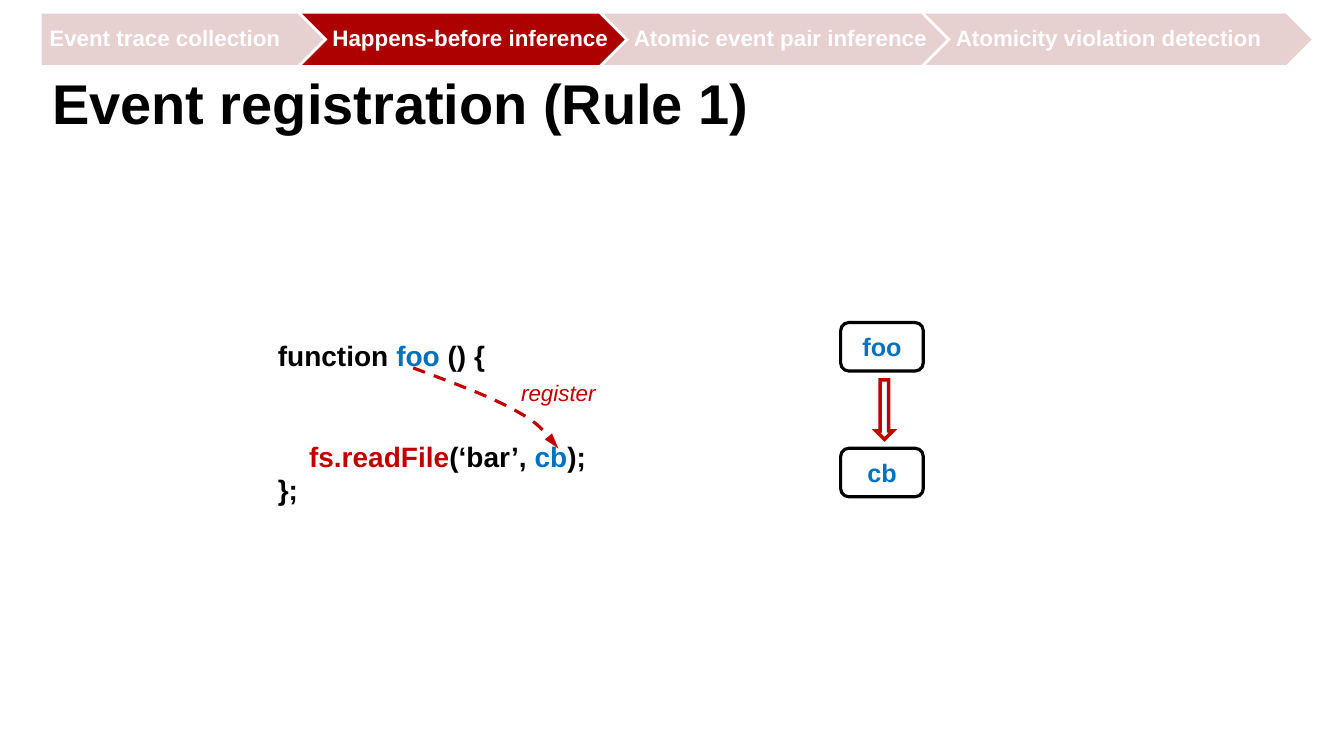
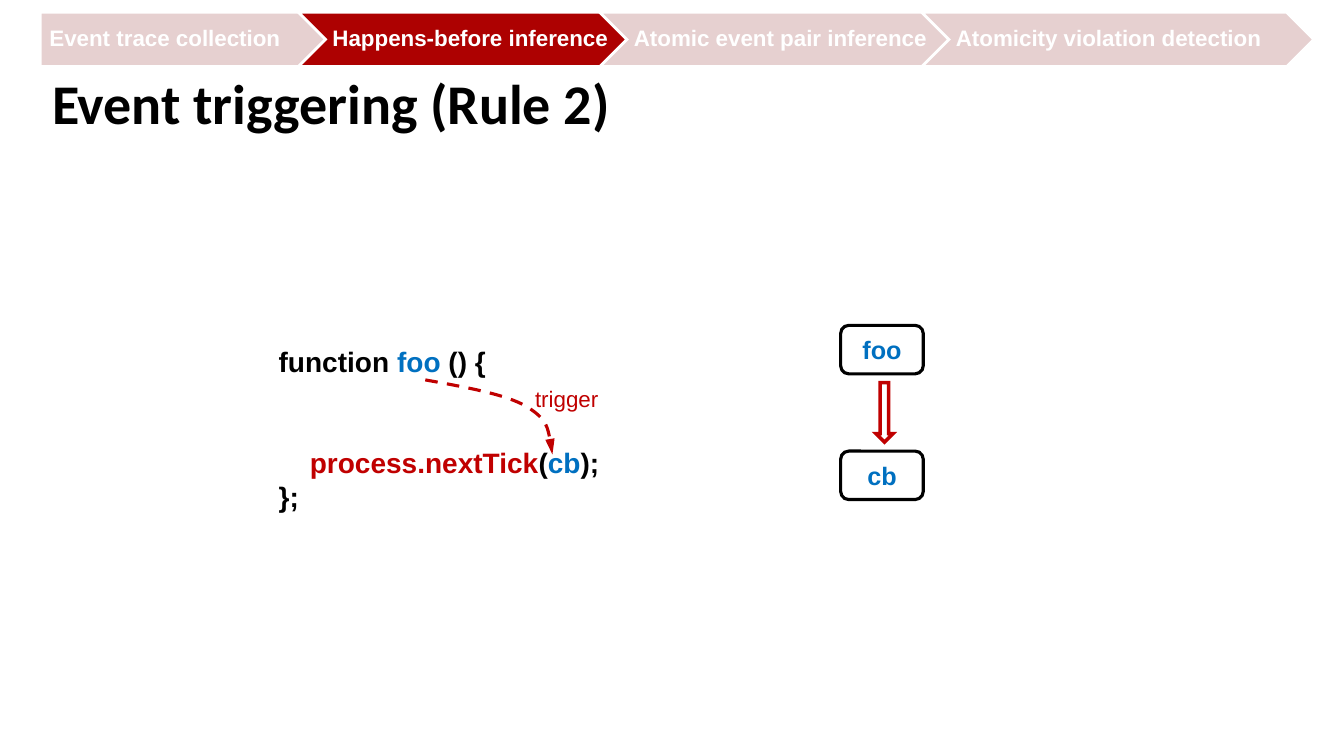
from lxml import etree
from pptx import Presentation
from pptx.dml.color import RGBColor
from pptx.enum.dml import MSO_LINE
from pptx.enum.shapes import MSO_SHAPE
from pptx.enum.text import MSO_ANCHOR, PP_ALIGN
from pptx.oxml.ns import qn
from pptx.util import Pt

BLACK = RGBColor(0x00, 0x00, 0x00)
WHITE = RGBColor(0xFF, 0xFF, 0xFF)
BLUE = RGBColor(0x00, 0x70, 0xC0)
RED = RGBColor(0xC0, 0x00, 0x00)
ACTIVE = RGBColor(0xAD, 0x01, 0x01)
INACTIVE = RGBColor(0xE6, 0xD0, 0xD0)

# Stage name, left, width
STAGES = [
    ("Event trace collection", 28.8, 275),
    ("Happens-before inference", 213.1, 306),
    ("Atomic event pair inference", 428.4, 320.4),
    ("Atomicity violation detection", 658.4, 280.1),
]
CURRENT_STAGE = 1
BAND_TOP, BAND_HEIGHT = 8.8, 38.8

NODE_LEFT, NODE_WIDTH, NODE_HEIGHT = 600.5, 59, 34.6
NODE_PITCH = 89.8
ARROW_LEFT, ARROW_WIDTH, ARROW_HEIGHT = 625.7, 12.2, 42.5
CODE_LINE = 24

RULES = [
    {
        "title": "Event registration (Rule 1)",
        "title_font": "Arial",
        "call": [("    ", BLACK), ("fs.readFile", RED), ("(‘bar’, ", BLACK),
                 ("cb", BLUE), (");", BLACK)],
        "code_box": (191.4, 242.6, 269.4, 121.7),
        "relation": "register",
        "relation_italic": True,
        "relation_box": (353.5, 267.5, 90.7, 26.6),
        "curve": [(295.2, 262.8), (321.8, 272.9), (347.8, 282.2), (365, 291.6),
                  (383, 301), (391, 310.3), (398.9, 320.4)],
        "nodes_top": 230.4,
    },
    {
        "title": "Event triggering (Rule 2)",
        "title_font": "Calibri",
        "call": [("    ", BLACK), ("process.nextTick", RED), ("(", BLACK),
                 ("cb", BLUE), (");", BLACK)],
        "code_box": (192, 241, 258.7, 133.9),
        "relation": "trigger",
        "relation_italic": False,
        "relation_box": (359.5, 271.4, 90.7, 26.6),
        "curve": [(303.8, 271.4), (331.9, 276.5), (360.7, 281.5), (375.8, 290.2),
                  (391, 299.5), (393.1, 311.8), (394.6, 324.7)],
        "nodes_top": 232.4,
    },
]


def write(shape, lines, size, color=BLACK, font="Arial", bold=True, italic=False,
          align=PP_ALIGN.LEFT, anchor=MSO_ANCHOR.MIDDLE, wrap=True,
          insets=(7.2, 3.6, 7.2, 3.6), spacing=None, gaps=None):
    """Fill a shape; a line is a string or (text, color) runs, gaps maps line to space before."""
    frame = shape.text_frame
    frame.word_wrap = wrap
    frame.vertical_anchor = anchor
    (frame.margin_left, frame.margin_top,
     frame.margin_right, frame.margin_bottom) = map(Pt, insets)
    for number, line in enumerate(lines):
        paragraph = frame.add_paragraph() if number else frame.paragraphs[0]
        paragraph.alignment = align
        if spacing:
            paragraph.line_spacing = spacing
        if gaps and number in gaps:
            paragraph.space_before = Pt(gaps[number])
        for text, run_color in [(line, color)] if isinstance(line, str) else line:
            run = paragraph.add_run()
            run.text = text
            run.font.name = font
            run.font.size = Pt(size)
            run.font.bold = bold
            run.font.italic = italic
            run.font.color.rgb = run_color


def add_text(slide, box, lines, size, **style):
    write(slide.shapes.add_textbox(*map(Pt, box)), lines, size, **style)


def paint(shape, line, weight, fill=None):
    shape.shadow.inherit = False
    if fill is None:
        shape.fill.background()
    else:
        shape.fill.solid()
        shape.fill.fore_color.rgb = fill
    shape.line.color.rgb = line
    shape.line.width = Pt(weight)


def add_to_stroke(shape, tag, **attributes):
    stroke = shape.element.spPr.find(qn("a:ln"))
    etree.SubElement(stroke, qn(tag), **attributes)


def add_shape(slide, kind, box, **look):
    shape = slide.shapes.add_shape(kind, *map(Pt, box))
    paint(shape, **look)
    add_to_stroke(shape, "a:miter", lim="800000")
    return shape


def add_stage_band(slide):
    for number, (stage, left, width) in enumerate(STAGES):
        segment = add_shape(
            slide, MSO_SHAPE.CHEVRON if number else MSO_SHAPE.PENTAGON,
            (left, BAND_TOP, width, BAND_HEIGHT), line=WHITE, weight=2,
            fill=ACTIVE if number == CURRENT_STAGE else INACTIVE)
        write(segment, [stage], 16, color=WHITE, spacing=0.9,
              insets=(5 if number else 6.5, 3.6, 1.4, 3.6))


def add_curved_arrow(slide, points):
    """Draw a dashed arrow through cubic segments: a start, then three points each."""
    start, *rest = [(Pt(x), Pt(y)) for x, y in points]
    builder = slide.shapes.build_freeform(*start)
    builder.add_line_segments(rest, close=False)
    curve = builder.convert_to_shape()
    paint(curve, line=RED, weight=2.25)
    curve.line.dash_style = MSO_LINE.DASH

    outline = next(curve.element.iter(qn("a:path")))
    straight = outline.findall(qn("a:lnTo"))
    for first in range(0, len(straight), 3):
        bezier = etree.SubElement(outline, qn("a:cubicBezTo"))
        for segment in straight[first:first + 3]:
            bezier.append(segment[0])
            outline.remove(segment)
    add_to_stroke(curve, "a:tailEnd", type="triangle", w="med", len="lg")


def add_order_graph(slide, top):
    for row, event in enumerate(["foo", "cb"]):
        node = add_shape(
            slide, MSO_SHAPE.ROUNDED_RECTANGLE,
            (NODE_LEFT, top + row * NODE_PITCH, NODE_WIDTH, NODE_HEIGHT),
            line=BLACK, weight=2.25)
        write(node, [event], 18, color=BLUE, align=PP_ALIGN.CENTER, wrap=False)
    arrow_top = top + (NODE_HEIGHT + NODE_PITCH - ARROW_HEIGHT) / 2
    add_shape(slide, MSO_SHAPE.DOWN_ARROW,
              (ARROW_LEFT, arrow_top, ARROW_WIDTH, ARROW_HEIGHT),
              line=RED, weight=2.5)


def add_rule_slide(deck, rule):
    slide = deck.slides.add_slide(deck.slide_layouts[6])
    add_text(slide, (30.2, 46.8, 900, 67), [rule["title"]], 40,
             font=rule["title_font"], anchor=MSO_ANCHOR.TOP, spacing=Pt(46.7))
    code = [[("function ", BLACK), ("foo", BLUE), (" () {", BLACK)],
            rule["call"], "};"]
    add_text(slide, rule["code_box"], code, 20,
             insets=(7.2, 0, 7.2, 3.6), spacing=Pt(CODE_LINE),
             gaps={1: 2 * CODE_LINE})
    add_text(slide, rule["relation_box"], [rule["relation"]], 16, color=RED,
             bold=False, italic=rule["relation_italic"],
             align=PP_ALIGN.CENTER, anchor=MSO_ANCHOR.TOP)
    add_curved_arrow(slide, rule["curve"])
    add_order_graph(slide, rule["nodes_top"])
    add_stage_band(slide)


def main():
    deck = Presentation()
    deck.slide_width, deck.slide_height = Pt(960), Pt(540)
    for rule in RULES:
        add_rule_slide(deck, rule)
    deck.save("out.pptx")


if __name__ == "__main__":
    main()
